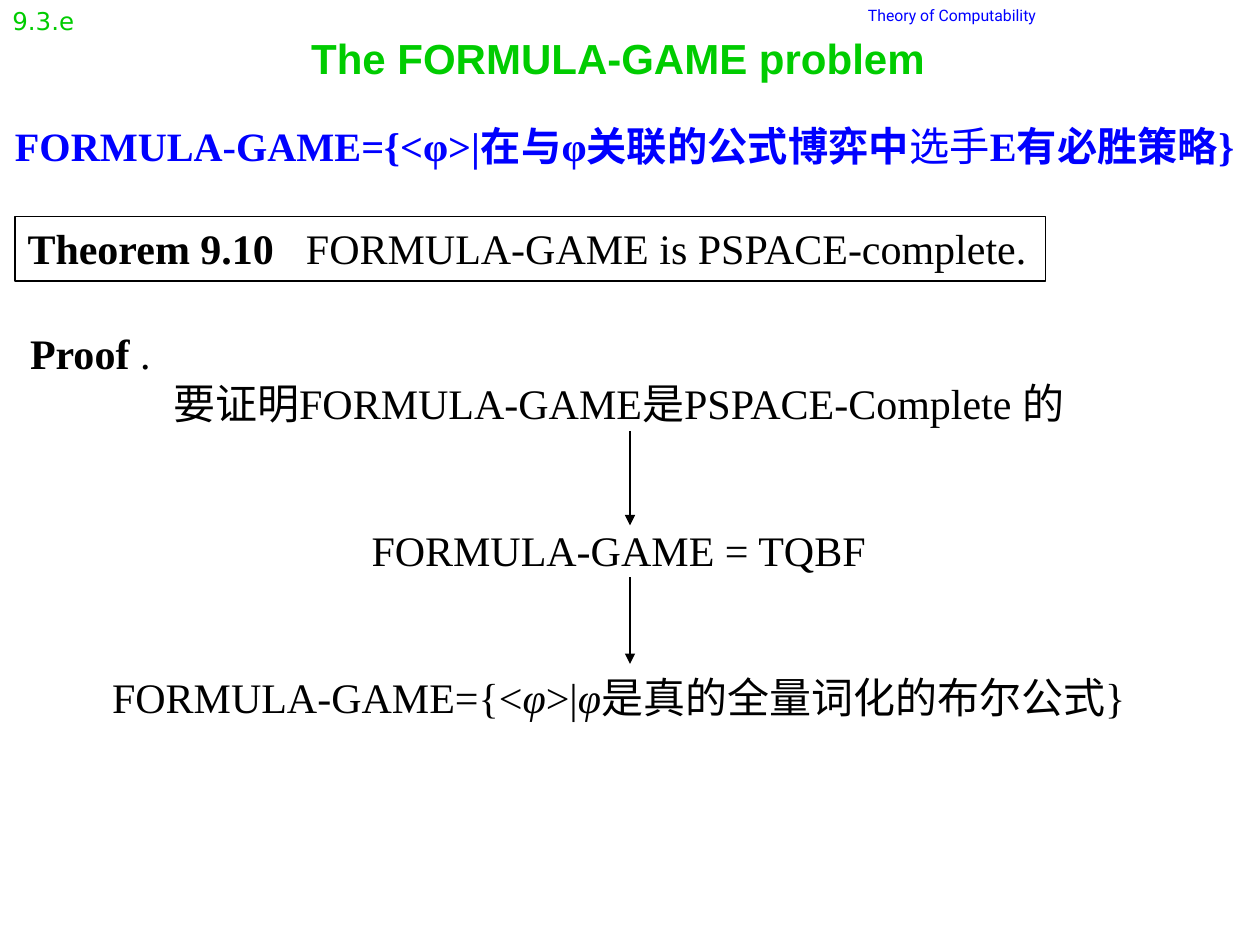
from lxml.etree import SubElement
from pptx import Presentation
from pptx.dml.color import RGBColor
from pptx.enum.shapes import MSO_CONNECTOR, MSO_SHAPE
from pptx.enum.text import MSO_ANCHOR, PP_ALIGN
from pptx.oxml.ns import qn
from pptx.util import Inches, Pt

GREEN, BLUE, BLACK = "00CC00", "0000FF", "000000"
SERIF = "Times New Roman"
LEFT, CENTER = PP_ALIGN.LEFT, PP_ALIGN.CENTER

# Each paragraph: alignment, space before in points, runs of (text, style)
TITLE = [(CENTER, 0, [("The FORMULA-GAME problem", "b")])]
SECTION = [(LEFT, 0, [("9.3.e", "")])]
COURSE = [(LEFT, 0, [("Theory of Computability", "")])]
DEFINITION = [(LEFT, 0, [("FORMULA-GAME={<φ>|在与φ关联的公式博弈中", "b"),
                         ("选手", ""), ("E有必胜策略}", "b")])]
THEOREM = [(LEFT, 0, [("Theorem 9.10", "b"),
                      ("\tFORMULA-GAME is PSPACE-complete.", "")])]
STEP_GAP = 55
PROOF = [
    (LEFT, 0, [("Proof ", "b"), (".", "")]),
    (CENTER, 0, [("要证明FORMULA-GAME是PSPACE-Complete 的", "")]),
    (CENTER, STEP_GAP, [("FORMULA-GAME = TQBF", "")]),
    (CENTER, STEP_GAP, [("FORMULA-GAME={<", ""), ("φ", "i"), (">|", ""),
                        ("φ", "i"), ("是真的全量词化的布尔公式}", "")]),
]
# Box, paragraphs, font, size, colour
TEXTS = [
    ((0, 0, 0.9, 0.34), SECTION, "DejaVu Sans", 14, GREEN),
    ((6.79, 0, 1.95, 0.25), COURSE, "Roboto", 9, BLUE),
    ((0.02, 0.91, 9.92, 0.49), DEFINITION, SERIF, 23, BLUE),
    ((0.14, 2.55, 9.54, 4.54), PROOF, SERIF, 24, BLACK),
]
THEOREM_BOX = (0.12, 1.72, 8.18, 0.51)
THEOREM_TAB = 2.21
ARROWS = [(3.42, 4.17), (4.58, 5.27)]


def rgb(code):
    """Turn a hex string into a colour."""
    return RGBColor.from_string(code)


def inches(box):
    """Turn lengths in inches into slide units."""
    return [Inches(length) for length in box]


def write(frame, paragraphs, font, size, colour):
    """Fill a text frame run by run."""
    frame.word_wrap = True
    for index, (align, before, runs) in enumerate(paragraphs):
        para = frame.add_paragraph() if index else frame.paragraphs[0]
        para.alignment, para.space_before = align, Pt(before)
        for text, style in runs:
            run = para.add_run()
            run.text = text
            run.font.name, run.font.size = font, Pt(size)
            run.font.bold, run.font.italic = "b" in style, "i" in style
            run.font.color.rgb = rgb(colour)


def add_theorem(slide):
    """Draw the framed theorem, its statement set at a tab stop."""
    theorem = slide.shapes.add_shape(MSO_SHAPE.RECTANGLE, *inches(THEOREM_BOX))
    theorem.shadow.inherit = False
    theorem.fill.background()
    theorem.line.color.rgb, theorem.line.width = rgb(BLACK), Pt(0.75)
    frame = theorem.text_frame
    frame.vertical_anchor, frame.margin_right = MSO_ANCHOR.TOP, 0
    write(frame, THEOREM, SERIF, 24, BLACK)
    tabs = SubElement(frame.paragraphs[0]._p.get_or_add_pPr(), qn("a:tabLst"))
    SubElement(tabs, qn("a:tab"), pos=str(Inches(THEOREM_TAB)), algn="l")


def add_arrow(slide, x, top, bottom):
    """Draw a downward arrow between two proof steps."""
    arrow = slide.shapes.add_connector(
        MSO_CONNECTOR.STRAIGHT, *inches((x, top, x, bottom)))
    arrow.line.color.rgb, arrow.line.width = rgb(BLACK), Pt(0.75)
    SubElement(arrow.line._get_or_add_ln(), qn("a:tailEnd"), type="triangle")
    SubElement(arrow._element.spPr, qn("a:effectLst"))


deck = Presentation()
deck.slide_width, deck.slide_height = inches((10, 7.5))
slide = deck.slides.add_slide(deck.slide_layouts[5])

title = slide.shapes.title
title.left, title.top, title.width, title.height = inches((0.75, 0, 8.5, 0.92))
title.text_frame.vertical_anchor = MSO_ANCHOR.MIDDLE
title.text_frame.margin_right = Inches(0.29)
write(title.text_frame, TITLE, "Arial", 24, GREEN)

for box, paragraphs, font, size, colour in TEXTS:
    write(slide.shapes.add_textbox(*inches(box)).text_frame,
          paragraphs, font, size, colour)
add_theorem(slide)
for top, bottom in ARROWS:
    add_arrow(slide, 5, top, bottom)

deck.save("out.pptx")
